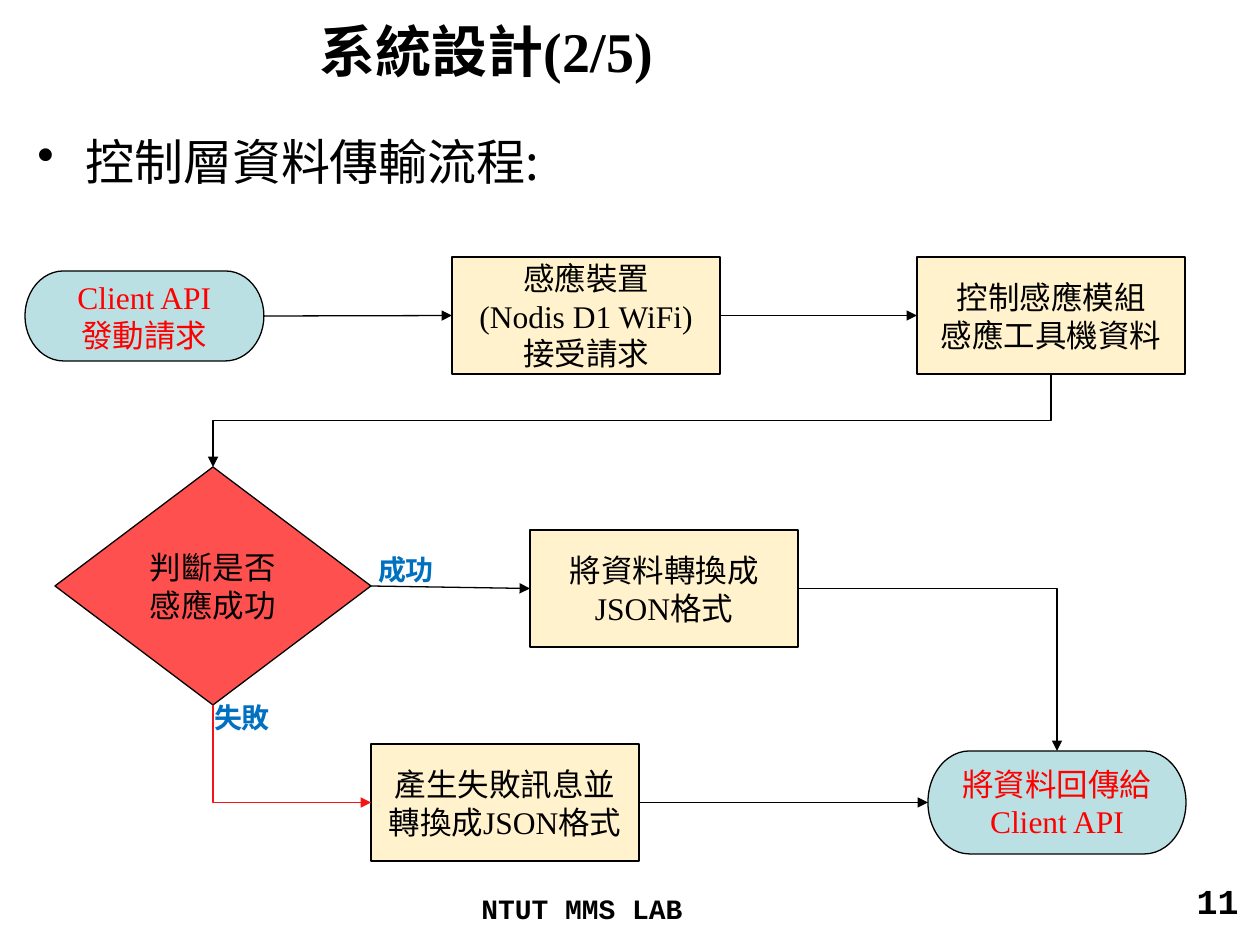
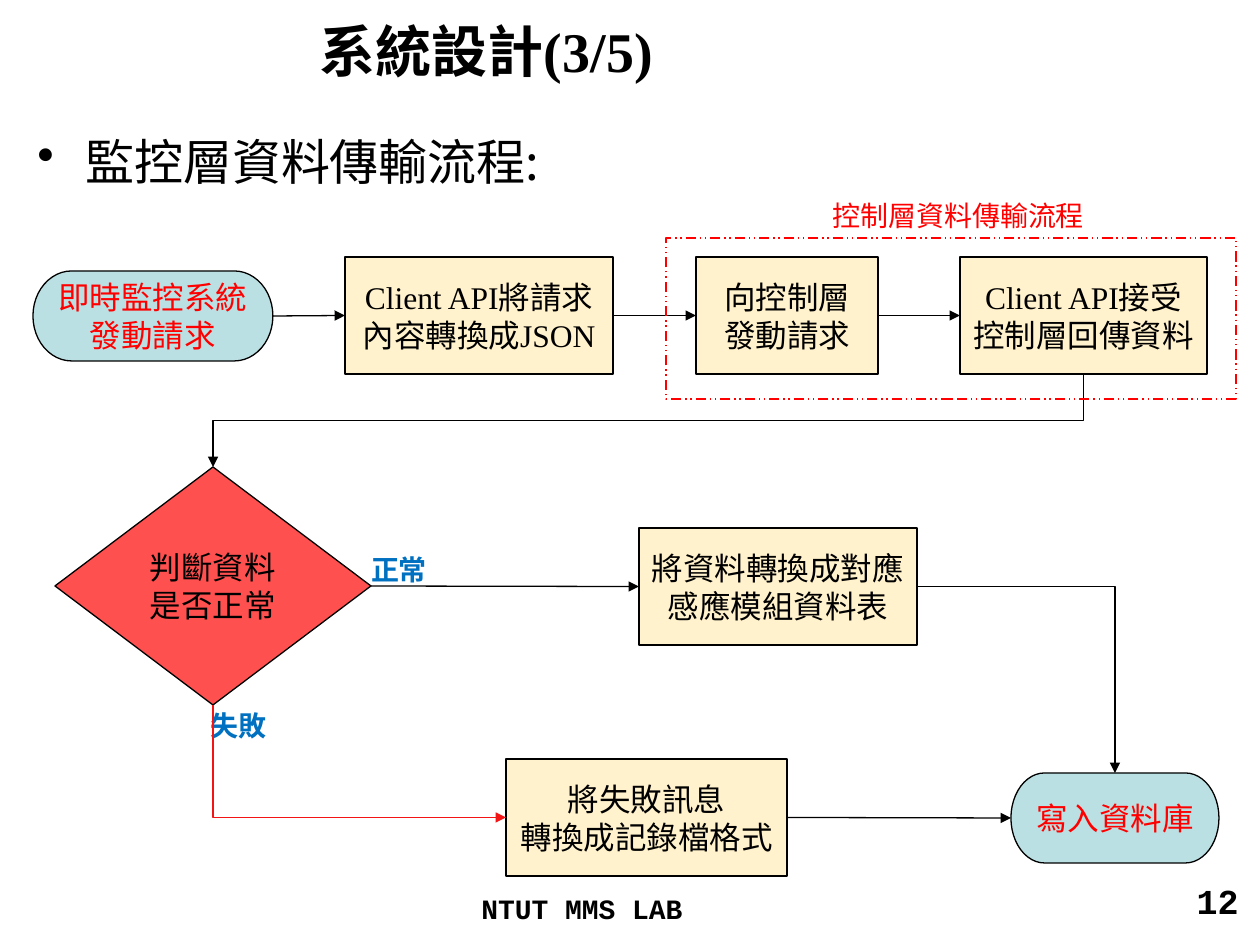
import pptx
import pptx.util
import pptx.dml.color
import pptx.enum.dml
import pptx.enum.shapes
import pptx.enum.text
import pptx.oxml.ns
from lxml import etree

PX = 914400 / 126
TOP, LEFT, BOTTOM, RIGHT = range(4)
BLACK, RED, FAIL_RED, BLUE = "000000", "FF0000", "F31515", "0070C0"
AQUA, CREAM, CORAL = "BBE0E3", "FFF2CC", "FF5050"
SERIF, MONO, CJK = "Times New Roman", "Courier New", "Noto Sans CJK SC"
KIND = pptx.enum.shapes.MSO_SHAPE
LINK = pptx.enum.shapes.MSO_CONNECTOR
ALIGN = pptx.enum.text.PP_ALIGN
ANCHOR = pptx.enum.text.MSO_ANCHOR
FIT = pptx.enum.text.MSO_AUTO_SIZE
qn = pptx.oxml.ns.qn


def px(length):
    return pptx.util.Emu(round(length * PX))


def color(hex_text):
    return pptx.dml.color.RGBColor.from_string(hex_text)


def write(frame, text, size=18, font=SERIF, ink=BLACK, bold=False,
          align=ALIGN.LEFT, anchor=ANCHOR.TOP, fit=FIT.NONE, bullet=False):
    frame.word_wrap = True
    frame.auto_size = fit
    frame.vertical_anchor = anchor
    frame.text = text
    for paragraph in frame.paragraphs:
        paragraph.alignment = align
        if bullet:
            properties = paragraph._p.get_or_add_pPr()
            properties.set("marL", str(px(48)))
            properties.set("indent", str(-px(48)))
            etree.SubElement(properties, qn("a:buChar"), char="•")
        for run in paragraph.runs:
            run.font.name = font
            run.font.size = pptx.util.Pt(size)
            run.font.bold = bold
            run.font.color.rgb = color(ink)
            latin = run._r.rPr.find(qn("a:latin"))
            latin.addnext(etree.Element(qn("a:ea"), typeface=CJK))


def add_text(slide, box, text, **style):
    area = slide.shapes.add_textbox(*map(px, box))
    write(area.text_frame, text, **style)


def add_label(slide, box, text, ink=BLUE, bold=True):
    add_text(slide, box, text, size=16, font=CJK, ink=ink, bold=bold,
             align=ALIGN.CENTER, fit=FIT.SHAPE_TO_FIT_TEXT)


def add_outline(slide, kind, box, ink=BLACK):
    shape = slide.shapes.add_shape(kind, *map(px, box))
    shape.shadow.inherit = False
    shape.line.color.rgb = color(ink)
    shape.line.width = pptx.util.Pt(0.75)
    return shape


def add_node(slide, kind, box, text, fill, ink=BLACK):
    node = add_outline(slide, kind, box)
    node.fill.solid()
    node.fill.fore_color.rgb = color(fill)
    write(node.text_frame, text, ink=ink, align=ALIGN.CENTER, anchor=ANCHOR.MIDDLE)
    return node


def add_terminal(slide, box, text):
    return add_node(slide, KIND.FLOWCHART_TERMINATOR, box, text, AQUA, RED)


def add_process(slide, box, text):
    return add_node(slide, KIND.FLOWCHART_PROCESS, box, text, CREAM)


def add_decision(slide, text):
    return add_node(slide, KIND.FLOWCHART_DECISION, (55, 467, 316, 238), text, CORAL)


def add_arrow(slide, source, source_side, target, target_side, ink=BLACK):
    straight = (source_side, target_side) == (RIGHT, LEFT)
    route = LINK.STRAIGHT if straight else LINK.ELBOW
    arrow = slide.shapes.add_connector(route, 0, 0, 0, 0)
    arrow.begin_connect(source, source_side)
    arrow.end_connect(target, target_side)
    if not straight:
        bend(arrow, source_side, target_side)
    arrow.line.color.rgb = color(ink)
    arrow.line.width = pptx.util.Pt(0.75)
    etree.SubElement(arrow.line._get_or_add_ln(), qn("a:tailEnd"), type="triangle")
    etree.SubElement(arrow._element.spPr, qn("a:effectLst"))


def bend(arrow, source_side, target_side):
    properties = arrow._element.spPr
    frame = properties.find(qn("a:xfrm"))
    if target_side == LEFT or source_side == RIGHT:
        properties.find(qn("a:prstGeom")).set("prst", "bentConnector2")
    if source_side == RIGHT:
        return
    center_x = arrow.left + arrow.width // 2
    center_y = arrow.top + arrow.height // 2
    width, height = arrow.height, arrow.width
    arrow.left, arrow.top = center_x - width // 2, center_y - height // 2
    arrow.width, arrow.height = width, height
    turns_right = target_side == LEFT
    frame.set("rot", str((270 if turns_right else 90) * 60000))
    frame.set("flipH", "1" if turns_right else "0")
    frame.set("flipV", "0")


def add_flow_slide(deck, part, topic, number):
    slide = deck.slides.add_slide(deck.slide_layouts[5])
    title = slide.shapes.title
    title.left, title.top, title.width, title.height = map(px, (307, 0, 953, 100))
    write(title.text_frame, f"系統設計({part}/5)", size=32, bold=True,
          anchor=ANCHOR.MIDDLE)
    add_text(slide, (25, 125, 1221, 733), topic, size=28, font=CJK, bullet=True)
    add_text(slide, (469, 885, 408, 40), "NTUT MMS LAB", size=16, font=MONO, bold=True)
    add_text(slide, (958, 873, 293, 66), str(number), size=20, font=MONO,
             bold=True, align=ALIGN.RIGHT)
    return slide


def add_branches(slide, decision, success, failure, finish):
    add_arrow(slide, decision, RIGHT, success, LEFT)
    add_arrow(slide, decision, BOTTOM, failure, LEFT, FAIL_RED)
    add_arrow(slide, failure, RIGHT, finish, LEFT)
    add_arrow(slide, success, RIGHT, finish, TOP)


def add_sequence(slide, steps, decision):
    for earlier, later in zip(steps, steps[1:]):
        add_arrow(slide, earlier, RIGHT, later, LEFT)
    add_arrow(slide, steps[-1], BOTTOM, decision, TOP)


def build_control_flow(deck):
    slide = add_flow_slide(deck, 2, "控制層資料傳輸流程:", 11)
    request = add_terminal(slide, (25, 271, 239, 90), "Client API\n發動請求")
    device = add_process(slide, (452, 257, 268, 117),
                         "感應裝置\n(Nodis D1 WiFi)\n接受請求")
    sensing = add_process(slide, (917, 257, 268, 117), "控制感應模組\n感應工具機資料")
    decision = add_decision(slide, "判斷是否感應成功")
    failure = add_process(slide, (371, 744, 268, 117), "產生失敗訊息並轉換成JSON格式")
    success = add_process(slide, (530, 530, 268, 117), "將資料轉換成JSON格式")
    reply = add_terminal(slide, (928, 751, 258, 103), "將資料回傳給Client API")
    add_sequence(slide, [request, device, sensing], decision)
    add_branches(slide, decision, success, failure, reply)
    add_label(slide, (358, 546, 96, 47), "成功")
    add_label(slide, (189, 694, 106, 47), "失敗")


def build_monitor_flow(deck):
    slide = add_flow_slide(deck, 3, "監控層資料傳輸流程:", 12)
    request = add_terminal(slide, (33, 271, 240, 90), "即時監控系統發動請求")
    encoding = add_process(slide, (345, 257, 268, 117), "Client API將請求內容轉換成JSON")
    control = add_process(slide, (696, 257, 182, 117), "向控制層\n發動請求")
    response = add_process(slide, (960, 257, 247, 117), "Client API接受控制層回傳資料")
    add_label(slide, (351, 546, 96, 47), "正常")
    add_label(slide, (153, 702, 171, 47), "失敗")
    failure = add_process(slide, (506, 759, 281, 117), "將失敗訊息\n轉換成記錄檔格式")
    database = add_terminal(slide, (1011, 773, 208, 90), "寫入資料庫")
    success = add_process(slide, (639, 528, 278, 117), "將資料轉換成對應感應模組資料表")
    decision = add_decision(slide, "判斷資料是否正常")
    add_sequence(slide, [request, encoding, control, response], decision)
    add_branches(slide, decision, success, failure, database)
    control_area = add_outline(slide, KIND.RECTANGLE, (666, 238, 570, 161), RED)
    control_area.fill.background()
    control_area.line.dash_style = pptx.enum.dml.MSO_LINE.DASH_DOT_DOT
    add_label(slide, (813, 192, 291, 47), "控制層資料傳輸流程", ink=RED, bold=False)


def main():
    deck = pptx.Presentation()
    deck.slide_width, deck.slide_height = px(1260), px(945)
    build_control_flow(deck)
    build_monitor_flow(deck)
    deck.save("out.pptx")


if __name__ == "__main__":
    main()
